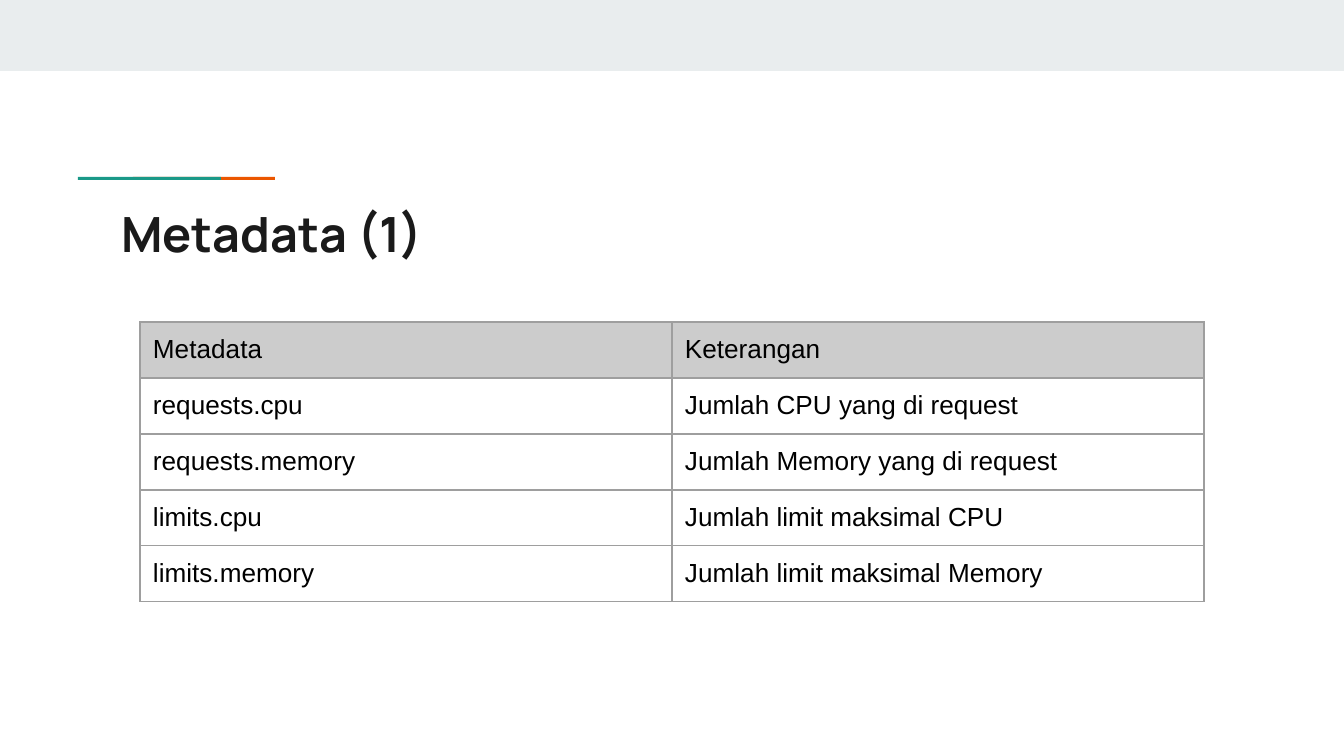
import dataclasses

import lxml.etree
import pptx
import pptx.dml.color
import pptx.enum.shapes
import pptx.enum.text
import pptx.oxml.ns
import pptx.util

EMU_PER_PX = 914400 / 134.4
INSET = 13
ROW_HEIGHT = 56
COLUMN_WIDTH = 532
BORDER_COLOR = "9E9E9E"
BORDER_POINTS = 0.75


@dataclasses.dataclass
class Bar:
    left: int
    top: int
    width: int
    height: int
    color: str


BARS = [
    Bar(0, 0, 1344, 71, "E9EDEE"),  # header band
    Bar(133, 177, 142, 3, "EB5600"),  # accent, partly under the next
    Bar(78, 177, 143, 3, "1A9988"),
]

ROWS = [
    ("Metadata", "Keterangan"),
    ("requests.cpu", "Jumlah CPU yang di request"),
    ("requests.memory", "Jumlah Memory yang di request"),
    ("limits.cpu", "Jumlah limit maksimal CPU"),
    ("limits.memory", "Jumlah limit maksimal Memory"),
]


def px(length: int) -> pptx.util.Emu:
    return pptx.util.Emu(round(length * EMU_PER_PX))


def rgb(color: str) -> pptx.dml.color.RGBColor:
    return pptx.dml.color.RGBColor.from_string(color)


def write_text(text_frame, text: str, *, size: int, font: str, color: str,
               bold: bool = False) -> None:
    paragraph = text_frame.paragraphs[0]
    paragraph.alignment = pptx.enum.text.PP_ALIGN.LEFT
    run = paragraph.add_run()
    run.text = text
    run.font.size = pptx.util.Pt(size)
    run.font.name = font
    run.font.bold = bold
    run.font.color.rgb = rgb(color)


def draw_bar(slide, bar: Bar) -> None:
    shape = slide.shapes.add_shape(
        pptx.enum.shapes.MSO_SHAPE.RECTANGLE,
        px(bar.left), px(bar.top), px(bar.width), px(bar.height))
    shape.shadow.inherit = False
    shape.fill.solid()
    shape.fill.fore_color.rgb = rgb(bar.color)
    shape.line.fill.background()


def set_borders(cell) -> None:
    properties = cell._tc.get_or_add_tcPr()
    qn = pptx.oxml.ns.qn
    for side in ("lnL", "lnR", "lnT", "lnB"):
        line = lxml.etree.SubElement(properties, qn(f"a:{side}"),
                                     w=str(pptx.util.Pt(BORDER_POINTS)))
        fill = lxml.etree.SubElement(line, qn("a:solidFill"))
        lxml.etree.SubElement(fill, qn("a:srgbClr"), val=BORDER_COLOR)


def draw_title(slide, text: str) -> None:
    title = slide.shapes.title
    title.left, title.top, title.width, title.height = (
        px(108), px(194), px(1130), px(79))
    frame = title.text_frame
    frame.word_wrap = True
    frame.auto_size = pptx.enum.text.MSO_AUTO_SIZE.NONE
    frame.vertical_anchor = pptx.enum.text.MSO_ANCHOR.TOP
    frame.margin_left = frame.margin_right = frame.margin_bottom = px(INSET)
    frame.margin_top = px(10)
    write_text(frame, text, size=26, font="Manrope", color="1A1A1A", bold=True)


def draw_table(slide, rows: list[tuple[str, str]]) -> None:
    table = slide.shapes.add_table(
        len(rows), len(rows[0]), px(140), px(322),
        px(COLUMN_WIDTH * len(rows[0])), px(ROW_HEIGHT * len(rows))).table
    table.first_row = table.horz_banding = False
    for column in table.columns:
        column.width = px(COLUMN_WIDTH)
    for row_index, texts in enumerate(rows):
        table.rows[row_index].height = px(ROW_HEIGHT)
        for column_index, text in enumerate(texts):
            cell = table.cell(row_index, column_index)
            cell.margin_left = cell.margin_right = px(INSET)
            cell.margin_top = cell.margin_bottom = px(INSET)
            set_borders(cell)
            if row_index == 0:
                cell.fill.solid()
                cell.fill.fore_color.rgb = rgb("CCCCCC")
            else:
                cell.fill.background()
            write_text(cell.text_frame, text, size=14, font="Arial",
                       color="000000")


def main() -> None:
    presentation = pptx.Presentation()
    presentation.slide_width = px(1344)
    presentation.slide_height = px(756)
    slide = presentation.slides.add_slide(presentation.slide_layouts[5])

    # Header band and accent line
    for bar in BARS:
        draw_bar(slide, bar)

    # Title and table
    draw_title(slide, "Metadata (1)")
    draw_table(slide, ROWS)

    presentation.save("out.pptx")


if __name__ == "__main__":
    main()
